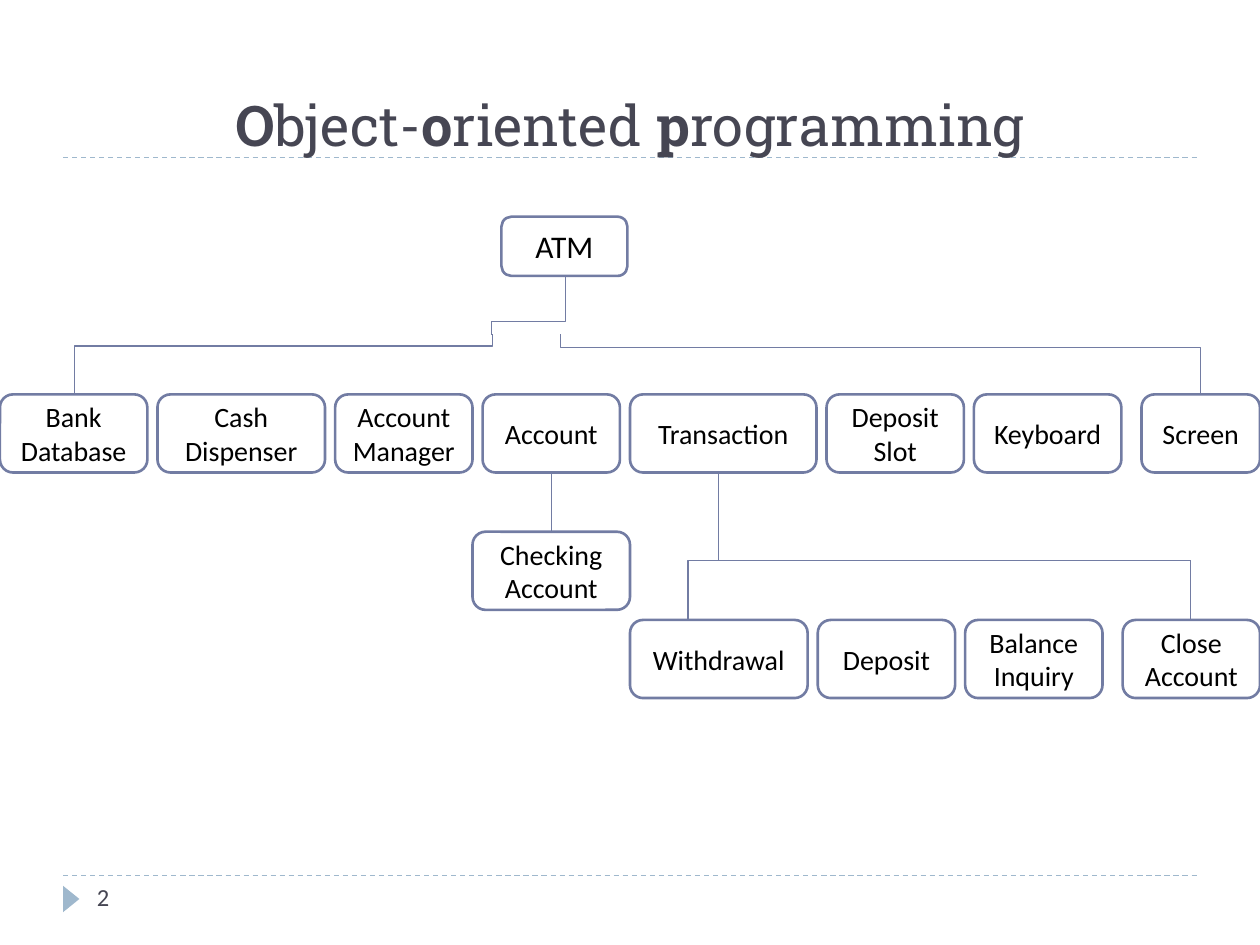
"""Build a slide showing the class hierarchy of an ATM program."""
from lxml import etree
from pptx import Presentation
from pptx.dml.color import RGBColor
from pptx.enum.dml import MSO_LINE
from pptx.enum.shapes import MSO_CONNECTOR, MSO_SHAPE
from pptx.enum.text import MSO_ANCHOR, PP_ALIGN
from pptx.oxml.ns import qn
from pptx.util import Inches, Pt

STRAIGHT, ELBOW = MSO_CONNECTOR.STRAIGHT, MSO_CONNECTOR.ELBOW
BOX, TRIANGLE = MSO_SHAPE.FLOWCHART_ALTERNATE_PROCESS, MSO_SHAPE.ISOSCELES_TRIANGLE
TOP, MIDDLE, BOTTOM = MSO_ANCHOR.TOP, MSO_ANCHOR.MIDDLE, MSO_ANCHOR.BOTTOM
LEFT, CENTER = PP_ALIGN.LEFT, PP_ALIGN.CENTER
DASH = MSO_LINE.DASH
THEME = {
    "heading": "Roboto Slab", "body": "Calibri",
    "title": Pt(32), "root": Pt(18), "node": Pt(16), "number": Pt(14),
    "ink": RGBColor.from_string("464653"), "black": RGBColor.from_string("000000"),
    "white": RGBColor.from_string("FFFFFF"), "edge": RGBColor.from_string("727CA3"),
    "accent": RGBColor.from_string("9FB8CD"),
}


def write(sp, runs, size, font, color, align, anchor, insets=(0.1, 0.05)):
    tf = sp.text_frame
    dx, dy = map(Inches, insets)
    frame = {"word_wrap": True, "vertical_anchor": anchor, "margin_left": dx,
             "margin_right": dx, "margin_top": dy, "margin_bottom": dy}
    for name, value in frame.items():
        setattr(tf, name, value)
    p = tf.paragraphs[0]
    p.alignment = align
    for text, bold in runs:
        r = p.add_run()
        r.text = text
        for name, value in {"size": THEME[size], "name": THEME[font], "bold": bold}.items():
            setattr(r.font, name, value)
        r.font.color.rgb = THEME[color]


def connect(kind, x1, y1, x2, y2, color="edge"):
    c = s.shapes.add_connector(kind, *map(Inches, (x1, y1, x2, y2)))
    c.line.color.rgb = THEME[color]
    c.line.width = Pt(0.75)
    etree.SubElement(c._element.spPr, qn("a:effectLst"))
    return c


prs = Presentation()
prs.slide_width, prs.slide_height = Inches(10), Inches(7.5)
s = prs.slides.add_slide(prs.slide_layouts[6])

for y in (6.95, 1.25):
    connect(STRAIGHT, 0.5, y, 9.5, y, "accent").line.dash_style = DASH

marker = s.shapes.add_shape(TRIANGLE, Inches(0.46), Inches(7.07), Inches(0.21), Inches(0.13))
marker.rotation = 90
marker.shadow.inherit = False
marker.fill.solid()
marker.fill.fore_color.rgb = THEME["accent"]
marker.line.fill.background()

title = s.shapes.add_textbox(Inches(0.5), Inches(0.17), Inches(9), Inches(1.08))
title_runs = [("O", True), ("bject-", False), ("o", True), ("riented ", False),
              ("p", True), ("rogramming", False)]
write(title, title_runs, "title", "heading", "ink", CENTER, BOTTOM, (0, 0))
number = s.shapes.add_textbox(Inches(0.67), Inches(6.95), Inches(2.17), Inches(0.4))
write(number, [("2", False)], "number", "body", "ink", LEFT, TOP)

GAP = 0.08
rows = [
    (3.98, 1.72, 0.47, "root", [("ATM", 1)]),
    (0, 3.13, 0.62, "node", [
        ("Bank Database", 1.17), ("Cash Dispenser", 1.33), ("Account Manager", 1.09),
        ("Account", 1.09), ("Transaction", 1.48), ("Deposit Slot", 1.09),
        ("Keyboard", 1.17), ("Screen", 0.94)]),
    (3.75, 4.22, 0.62, "node", [("Checking Account", 1.25)]),
    (5, 4.92, 0.62, "node", [
        ("Withdrawal", 1.41), ("Deposit", 1.09), ("Balance Inquiry", 1.09),
        ("Close Account", 1.09)]),
]
right_aligned = ("Screen", "Close Account")
nodes = {}
for x, y, height, size, items in rows:
    for text, width in items:
        left = 10 - width if text in right_aligned else x
        sp = s.shapes.add_shape(BOX, *map(Inches, (left, y, width, height)))
        sp.shadow.inherit = False
        sp.fill.solid()
        sp.fill.fore_color.rgb = THEME["white"]
        sp.line.color.rgb = THEME["edge"]
        sp.line.width = Pt(1.5)
        write(sp, [(text, False)], size, "body", "black", CENTER, MIDDLE)
        nodes[text] = sp
        x += width + GAP

elbows = [
    (0.59, 3.13, 3.91, 2.65, 80),
    (9.53, 3.13, 4.45, 2.65, 77.5),
    (4.49, 2.19, 3.9, 2.66, 77.5),
    (5.46, 4.92, 9.45, 4.45, 100),
]
for x1, y1, x2, y2, bend in elbows:
    cx, cy = (x1 + x2) / 2, (y1 + y2) / 2
    half_w, half_h = abs(y2 - y1) / 2, abs(x2 - x1) / 2
    if (x2 > x1) == (y2 > y1):
        half_h = -half_h
    c = connect(ELBOW, cx - half_w, cy - half_h, cx + half_w, cy + half_h)
    spPr = c._element.spPr
    spPr.find(qn("a:xfrm")).set("rot", str((90 if y2 > y1 else 270) * 60000))
    guides = spPr.find(qn("a:prstGeom")).find(qn("a:avLst"))
    etree.SubElement(guides, qn("a:gd"), name="adj1", fmla=f"val {round(bend * 1000)}")

for x, y1, y2 in ((9.45, 4.92, 4.45), (5.7, 3.75, 4.45)):
    connect(STRAIGHT, x, y1, x, y2)
link = connect(STRAIGHT, 4.38, 3.75, 4.38, 4.22)
link.begin_connect(nodes["Account"], 2)
link.end_connect(nodes["Checking Account"], 0)

prs.save("out.pptx")
